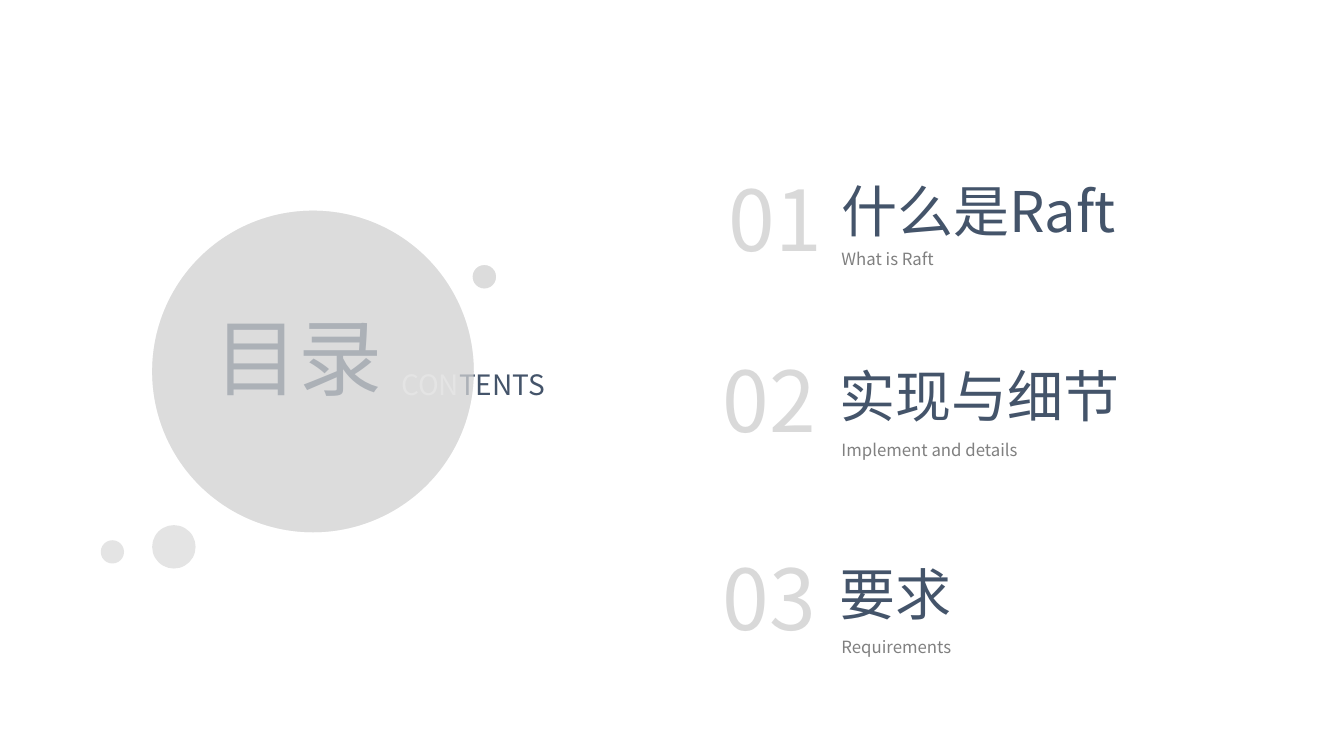
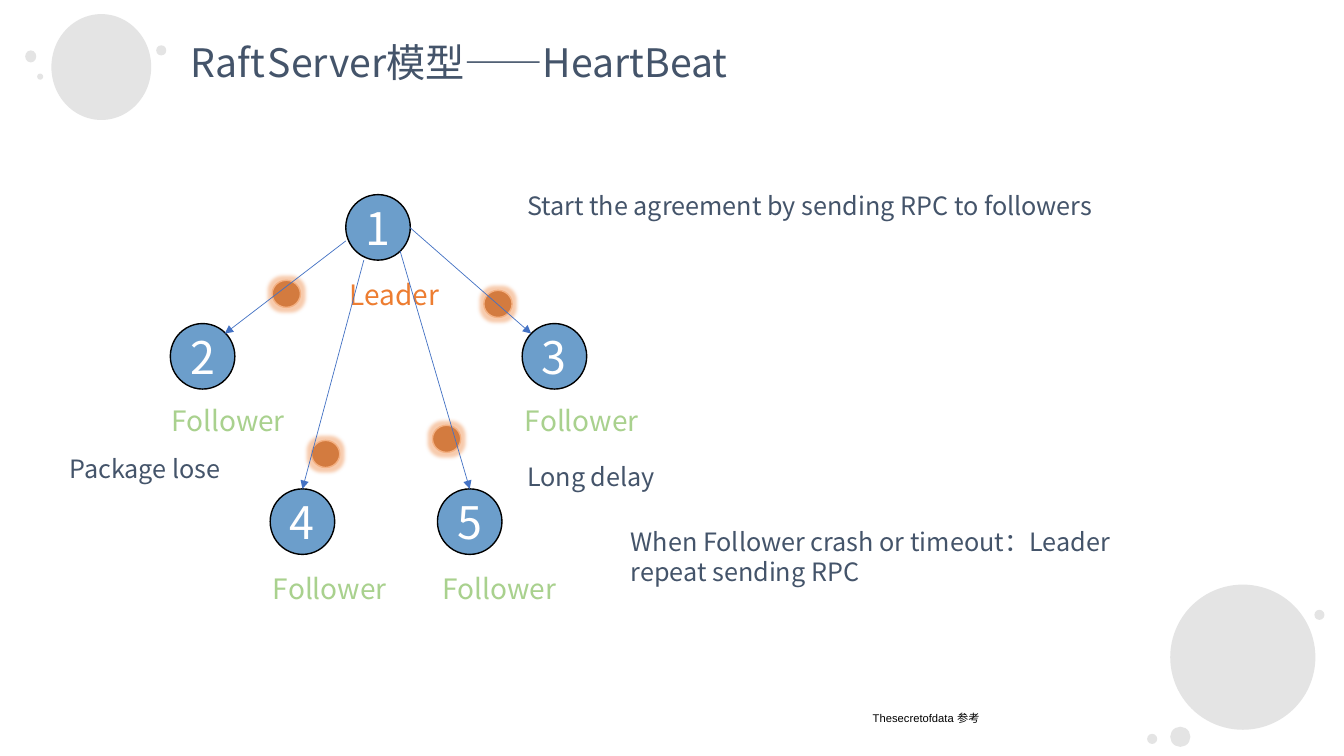
import pptx
import pptx.util
import pptx.dml.color
import pptx.enum.shapes
import pptx.enum.text
import pptx.oxml.ns
import lxml.etree

Pt = pptx.util.Pt
ink = pptx.dml.color.RGBColor.from_string
qn = pptx.oxml.ns.qn
sub = lxml.etree.SubElement
align = pptx.enum.text.PP_ALIGN
anchor = pptx.enum.text.MSO_ANCHOR
FACE = "Noto Sans CJK SC"
NAVY, PALE, GREY, WHITE = "44546A", "D9D9D9", "808080", "FFFFFF"
BLUE, RUST, PEACH, ORANGE = "2E75B6", "C55A11", "F4B183", "ED7D31"
GREEN, LINK, BLACK = "A9D18E", "4472C4", "000000"


def write(shape, box, runs, place="LEFT", mid=False):
    if box:
        shape.left, shape.top, shape.width, shape.height = map(Pt, box)
    frame = shape.text_frame
    form = {
        "word_wrap": True,
        "auto_size": pptx.enum.text.MSO_AUTO_SIZE.NONE,
        "vertical_anchor": anchor.MIDDLE if mid else anchor.TOP,
    }
    for key, val in form.items():
        setattr(frame, key, val)
    para = frame.paragraphs[0]
    para.alignment = getattr(align, place)
    for text, size, color, *face in runs:
        run = para.add_run()
        run.text = text
        for key, val in {"size": Pt(size), "name": face[0] if face else FACE}.items():
            setattr(run.font, key, val)
        run.font.color.rgb = ink(color)
        sub(run.font._element, qn("a:ea"), typeface=FACE)


def disc(slide, left, top, wide, high, color, edge=None):
    kind = pptx.enum.shapes.MSO_SHAPE.FLOWCHART_CONNECTOR
    shape = slide.shapes.add_shape(kind, Pt(left), Pt(top), Pt(wide), Pt(high))
    shape.shadow.inherit = False
    shape.fill.solid()
    shape.fill.fore_color.rgb = ink(color)
    tone = shape.element.spPr.find(qn("a:solidFill"))[0]
    sub(tone, qn("a:alpha"), val="70000")
    if edge:
        shape.line.color.rgb = ink(edge)
        shape.line.width = Pt(1)
    else:
        shape.line.fill.background()
    return shape


deck = pptx.Presentation()
deck.slide_width, deck.slide_height = Pt(960), Pt(540)
layout = deck.slide_layouts[5]

menu = deck.slides.add_slide(layout)
back = [
    (108.7, 150.5, 229.7),
    (108.7, 375.1, 31),
    (72, 385.9, 16.6),
    (337.7, 189.4, 16.6),
]
for left, top, size in back:
    disc(menu, left, top, size, size, PALE)

title = menu.shapes.title
title.element.getparent().append(title.element)
write(title, (146.2, 214.6, 142, 80), [("目录", 60, NAVY)])

words = [((279.4, 259.2, 142, 32), [("CON", 20, WHITE), ("TENTS", 20, NAVY)])]
items = [
    ("01", 513.4, 115.9, "什么是Raft", 594, 122.4, "What is Raft", 174.2),
    ("02", 509, 245.5, "实现与细节", 592.6, 254.9, "Implement and details", 310.3),
    ("03", 509, 386.6, "要求", 592.6, 396, "Requirements", 451.4),
]
for num, left, top, head, start, high, note, low in items:
    words += [
        ((left, top, 100, 80), [(num, 60, PALE)]),
        ((start, high, 240, 55), [(head, 40, NAVY)]),
        ((594, low, 160, 22), [(note, 12, GREY)]),
    ]
for box, runs in words:
    write(menu.shapes.add_textbox(0, 0, 0, 0), box, runs)

for left, top, size in (back[0], back[3]):
    disc(menu, left, top, size, size, PALE)

beat = deck.slides.add_slide(layout)
for box in [
    (835.9, 519.1, 14.4, 14.4),
    (819.4, 524.2, 7.2, 7.2),
    (835.9, 417.6, 103.7, 103.7),
    (938.9, 435.6, 7.2, 7.2),
    (36.7, 10.1, 71.3, 75.6),
    (18, 36, 7.9, 8.6),
    (26.6, 52.6, 4.3, 4.3),
    (111.6, 32.4, 7.2, 7.2),
]:
    disc(beat, *box, PALE)

write(
    beat.shapes.title,
    (128.9, 23.8, 450, 41),
    [("Raft", 28, NAVY), (" ", 10, NAVY), ("Server模型——HeartBeat", 28, NAVY)],
)

nodes = {}
for num, left, top in [
    ("4", 193, 349.2),
    ("5", 312.5, 349.2),
    ("3", 373, 231.1),
    ("1", 247, 139),
    ("2", 121.7, 231.1),
]:
    node = disc(beat, left, top, 46.1, 46.8, BLUE, BLACK)
    for side in ("left", "top", "right", "bottom"):
        setattr(node.text_frame, "margin_" + side, 0)
    write(node, None, [(num, 32, WHITE)], "CENTER", True)
    nodes[num] = node

follow = [(115.2, 284.4), (187.9, 404.6), (308.9, 404.6), (367.9, 284.4)]
words = [((left, top, 110, 32), [("Follower", 20, GREEN)]) for left, top in follow]
words += [
    ((242.6, 194.4, 90, 32), [("Leader", 20, ORANGE)]),
    ((369.4, 326.2, 120, 29), [("Long delay", 18, NAVY)]),
    ((42.5, 320.4, 140, 29), [("Package lose", 18, NAVY)]),
    (
        (369.4, 132.5, 450, 29),
        [("Start the agreement by sending RPC to followers", 18, NAVY)],
    ),
    (
        (443.5, 372.2, 384.5, 51),
        [("When Follower crash or timeout：Leader repeat sending RPC", 18, NAVY)],
    ),
    ((616.3, 504.7, 297.4, 17), [("Thesecretofdata 参考", 8, BLACK, "Arial")]),
]
for box, runs in words:
    write(beat.shapes.add_textbox(0, 0, 0, 0), box, runs)

for left, top in [(194.4, 200.2), (222.5, 314.6), (308.9, 303.8), (345.6, 207.4)]:
    dot = disc(beat, left, top, 20.2, 19.4, RUST, PEACH)
    glow = sub(dot.element.spPr.find(qn("a:effectLst")), qn("a:glow"), rad=str(Pt(5)))
    tone = sub(glow, qn("a:srgbClr"), val=ORANGE)
    sub(tone, qn("a:alpha"), val="40000")

for ends, goal in [
    ((247, 172.1, 160.6, 238.3), None),
    ((259.9, 185.8, 216, 349.2), "4"),
    ((285.8, 179.3, 335.5, 349.2), "5"),
    ((293, 162.7, 379.4, 238.3), None),
]:
    kind = pptx.enum.shapes.MSO_CONNECTOR.STRAIGHT
    wire = beat.shapes.add_connector(kind, *map(Pt, ends))
    if goal:
        wire.end_connect(nodes[goal], 0)
    wire.line.color.rgb = ink(LINK)
    wire.line.width = Pt(0.5)
    sub(wire.line._get_or_add_ln(), qn("a:tailEnd"), type="triangle")
    sub(wire._element.spPr, qn("a:effectLst"))

deck.save("out.pptx")
